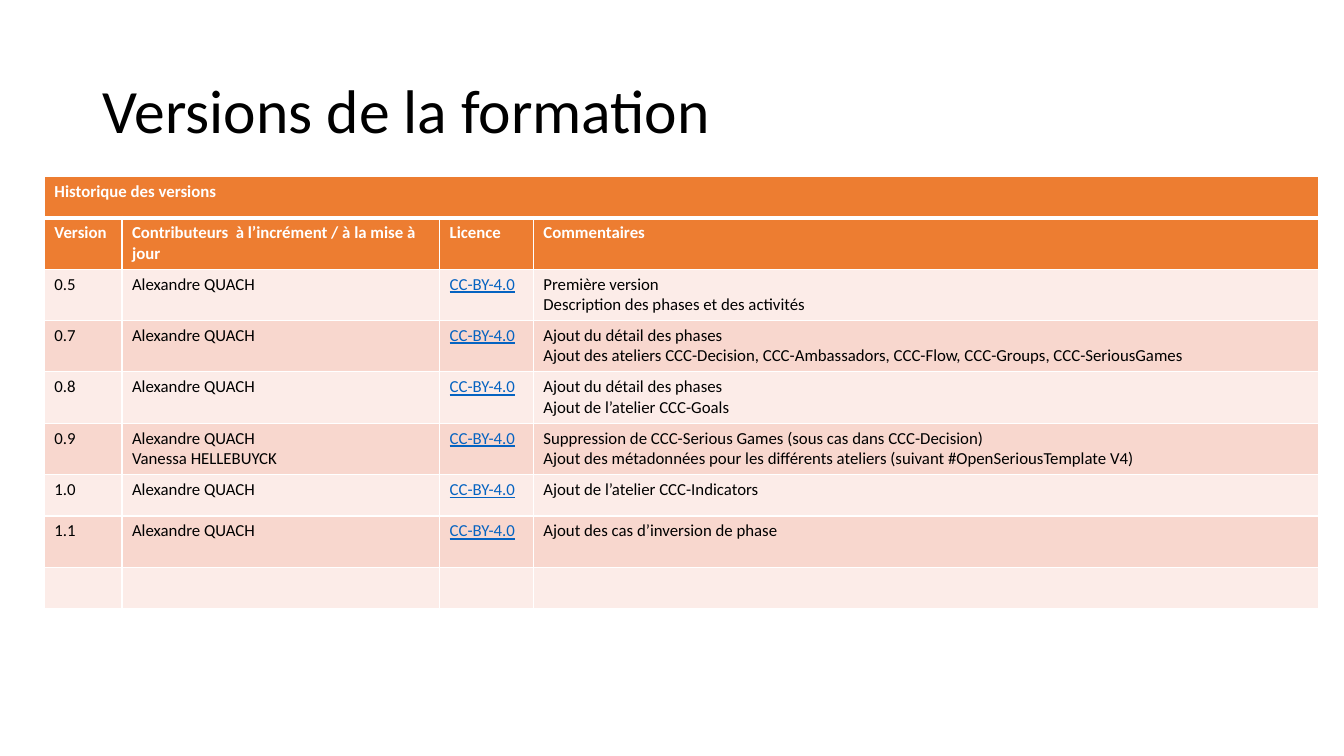
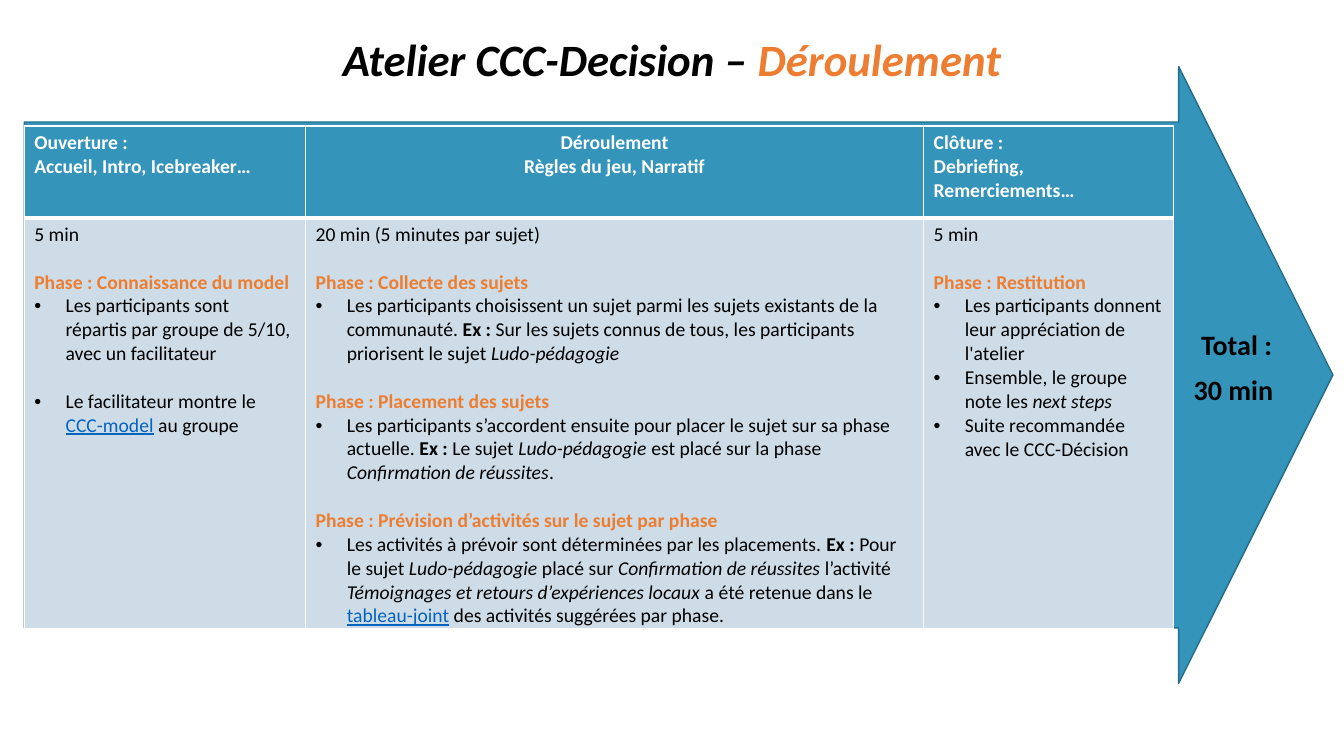
from pptx import Presentation
from pptx.dml.color import RGBColor
from pptx.enum.shapes import MSO_SHAPE as Shape
from pptx.enum.text import MSO_ANCHOR as Anchor, PP_ALIGN as Align
from pptx.util import Emu, Pt
from lxml.etree import SubElement
from pptx.oxml.ns import qn

# Shared look: 100 px to the inch
PX = 9144
FONT = "Calibri"
BLACK, WHITE, ORANGE, BLUE, LINK = "000000", "FFFFFF", "ED7D31", "3494BA", "0563C1"
PINK, ROSE, MIST, NAVY = "FCECE8", "F8D7CE", "CEDCE7", "266D8A"
RUN_STYLES = {
    "bold": {"bold": True},
    "italic": {"italic": True},
    "link": {"underline": True, "color": LINK},
    "phase": {"bold": True, "color": ORANGE},
    "accent": {"color": ORANGE},
}
GAP, INDENT = 17, 31

# Content: version history
HISTORY_TITLE = "Versions de la formation"
HISTORY_HEADINGS = [
    ["Historique des versions", "", "", ""],
    ["Version", "Contributeurs  à l’incrément / à la mise à jour", "Licence", "Commentaires"],
]
AUTHOR, LICENCE = "Alexandre QUACH", "CC-BY-4.0"
VERSIONS = [
    ("0.5", [AUTHOR], ["Première version", "Description des phases et des activités"]),
    ("0.7", [AUTHOR], ["Ajout du détail des phases",
                       "Ajout des ateliers CCC-Decision, CCC-Ambassadors, CCC-Flow, "
                       "CCC-Groups, CCC-SeriousGames"]),
    ("0.8", [AUTHOR], ["Ajout du détail des phases", "Ajout de l’atelier CCC-Goals"]),
    ("0.9", [AUTHOR, "Vanessa HELLEBUYCK"],
     ["Suppression de CCC-Serious Games (sous cas dans CCC-Decision)",
      "Ajout des métadonnées pour les différents ateliers (suivant #OpenSeriousTemplate V4)"]),
    ("1.0", [AUTHOR], ["Ajout de l’atelier CCC-Indicators"]),
    ("1.1", [AUTHOR], ["Ajout des cas d’inversion de phase"]),
]
HISTORY_WIDTHS = [77, 315, 93, 779]
HISTORY_HEIGHTS = [41, 51, 51, 51, 51, 51, 41, 51, 41]

# Content: workshop steps; a paragraph is (kind, runs), a run is (text, style)
WORKSHOP_TITLE = [("Atelier CCC-Decision – ", ""), ("Déroulement", "accent")]
TOTAL = ["Total :", "30 min "]
STEP_HEADINGS = [
    ["Ouverture :", "Accueil, Intro, Icebreaker…"],
    [("centre", "Déroulement"), ("centre", "Règles du jeu, Narratif")],
    ["Clôture :", "Debriefing, Remerciements…"],
]
EXAMPLE = ("Ex : ", "bold")
GAME = ("Ludo-pédagogie ", "italic")
SUCCESS = ("Confirmation de réussites", "italic")


def phase(name):
    return "spaced", [("Phase : " + name, "phase")]


STEPS = [
    ["5 min",
     phase("Connaissance du model"),
     ("bullet", "Les participants sont répartis par groupe de 5/10, avec un facilitateur"),
     ("spaced bullet", [("Le facilitateur montre le", ""), (" CCC-model", "link"),
                        (" au groupe", "")])],
    ["20 min (5 minutes par sujet)",
     phase("Collecte des sujets"),
     ("bullet", [("Les participants choisissent un sujet parmi les sujets existants "
                  "de la communauté. ", ""), EXAMPLE,
                 ("Sur les sujets connus de tous, les participants priorisent le sujet ", ""),
                 ("Ludo-pédagogie", "italic")]),
     phase("Placement des sujets"),
     ("bullet", [("Les participants s’accordent ensuite pour placer le sujet sur sa phase "
                  "actuelle. ", ""), EXAMPLE, ("Le sujet ", ""), GAME,
                 ("est placé sur la phase ", ""), SUCCESS, (".", "")]),
     phase("Prévision d’activités sur le sujet par phase"),
     ("bullet", [("Les activités à prévoir sont déterminées par les placements. ", ""), EXAMPLE,
                 ("Pour le sujet ", ""), GAME, ("placé sur ", ""), SUCCESS,
                 (" l’activité ", ""),
                 ("Témoignages et retours d’expériences locaux ", "italic"),
                 ("a été retenue dans le ", ""), ("tableau-joint", "link"),
                 (" des activités suggérées par phase.", "")])],
    ["5 min",
     phase("Restitution"),
     ("bullet", "Les participants donnent leur appréciation de l'atelier"),
     ("bullet", [("Ensemble, le groupe note les ", ""), ("next steps", "italic")]),
     ("bullet", "Suite recommandée avec le CCC-Décision")],
]
STEP_WIDTHS, STEP_HEIGHTS = [279, 613, 248], [91, 408]


def px(*lengths):
    return [Emu(length * PX) for length in lengths]


def rgb(code):
    return RGBColor.from_string(code)


# Text
def set_font(font, color=None, **looks):
    for name, value in looks.items():
        setattr(font, name, value)
    if color:
        font.color.rgb = rgb(color)


def add_bullet(paragraph):
    properties = paragraph._p.get_or_add_pPr()
    properties.set("marL", str(INDENT * PX))
    properties.set("indent", str(-INDENT * PX))
    SubElement(properties, qn("a:buFont"), typeface="Arial")
    SubElement(properties, qn("a:buChar"), char="•")


def write(frame, paragraphs, size, color=BLACK, bold=False, italic=False,
          align=Align.LEFT, spacing=None, before=0):
    for index, content in enumerate(paragraphs):
        kind, runs = ("text", content) if isinstance(content, str) else content
        paragraph = frame.add_paragraph() if index else frame.paragraphs[0]
        paragraph.alignment = Align.CENTER if kind == "centre" else align
        if spacing:
            paragraph.line_spacing = spacing
        if index:
            paragraph.space_before = Pt(GAP if "spaced" in kind else before)
        if "bullet" in kind:
            add_bullet(paragraph)
        set_font(paragraph.font, color, name=FONT, size=Pt(size), bold=bold, italic=italic)
        for text, style in [(runs, "")] if isinstance(runs, str) else runs:
            run = paragraph.add_run()
            run.text = text
            set_font(run.font, **RUN_STYLES.get(style, {}))


def add_text(slide, box, paragraphs, size, anchor=Anchor.TOP, **looks):
    frame = slide.shapes.add_textbox(*px(*box)).text_frame
    frame.word_wrap = True
    frame.vertical_anchor = anchor
    write(frame, paragraphs, size, **looks)


# Tables
def set_borders(cell, row):
    properties = cell._tc.get_or_add_tcPr()
    widths = {"L": 1, "R": 1, "T": 3 if row == 1 else 1, "B": 3 if row == 0 else 1}
    for side, width in widths.items():
        line = SubElement(properties, qn("a:ln" + side), w=str(Pt(width)))
        SubElement(SubElement(line, qn("a:solidFill")), qn("a:srgbClr"), val=WHITE)


def add_grid(slide, left, top, widths, heights, rows, fills, heading_rows, size):
    box = px(left, top, sum(widths), sum(heights))
    table = slide.shapes.add_table(len(rows), len(widths), *box).table
    for column, width in zip(table.columns, px(*widths)):
        column.width = width
    for r, (row, height, fill) in enumerate(zip(rows, px(*heights), fills)):
        table.rows[r].height = height
        heading = r < heading_rows
        for c, paragraphs in enumerate(row):
            cell = table.cell(r, c)
            set_borders(cell, r)
            cell.fill.solid()
            cell.fill.fore_color.rgb = rgb(fill)
            if any(paragraphs):
                write(cell.text_frame, paragraphs, size,
                      color=WHITE if heading else BLACK, bold=heading)
    return table


# Slides
def build_history(slide):
    add_text(slide, (92, 40, 785, 145), [HISTORY_TITLE], 44, anchor=Anchor.MIDDLE, spacing=0.9)
    rows = [[[text] for text in row] for row in HISTORY_HEADINGS]
    rows += [[[number], people, [("text", [(LICENCE, "link")])], comments]
             for number, people, comments in VERSIONS]
    rows.append([[]] * len(HISTORY_WIDTHS))
    headings = len(HISTORY_HEADINGS)
    fills = [ORANGE] * headings + [(PINK, ROSE)[i % 2] for i in range(len(rows) - headings)]
    table = add_grid(slide, 44, 175, HISTORY_WIDTHS, HISTORY_HEIGHTS, rows, fills, headings, 12)
    table.cell(0, 0).merge(table.cell(0, len(HISTORY_WIDTHS) - 1))


def build_workshop(slide):
    add_text(slide, (0, 27, 1333, 64), [("text", WORKSHOP_TITLE)], 32,
             bold=True, italic=True, align=Align.CENTER)
    arrow = slide.shapes.add_shape(Shape.RIGHT_ARROW, *px(24, 66, 1298, 612))
    arrow.adjustments[0], arrow.adjustments[1] = 0.82, 0.25
    arrow.shadow.inherit = False
    arrow.fill.solid()
    arrow.fill.fore_color.rgb = rgb(BLUE)
    arrow.line.color.rgb = rgb(NAVY)
    arrow.line.width = Pt(1)
    add_grid(slide, 24, 125, STEP_WIDTHS, STEP_HEIGHTS, [STEP_HEADINGS, STEPS],
             [BLUE, MIST], 1, 14)
    add_text(slide, (1164, 324, 125, 111), TOTAL, 20, bold=True,
             align=Align.CENTER, spacing=0.9, before=10)


def main():
    deck = Presentation()
    deck.slide_width, deck.slide_height = px(1333, 750)
    for build in (build_history, build_workshop):
        build(deck.slides.add_slide(deck.slide_layouts[6]))
    deck.save("out.pptx")


if __name__ == "__main__":
    main()
